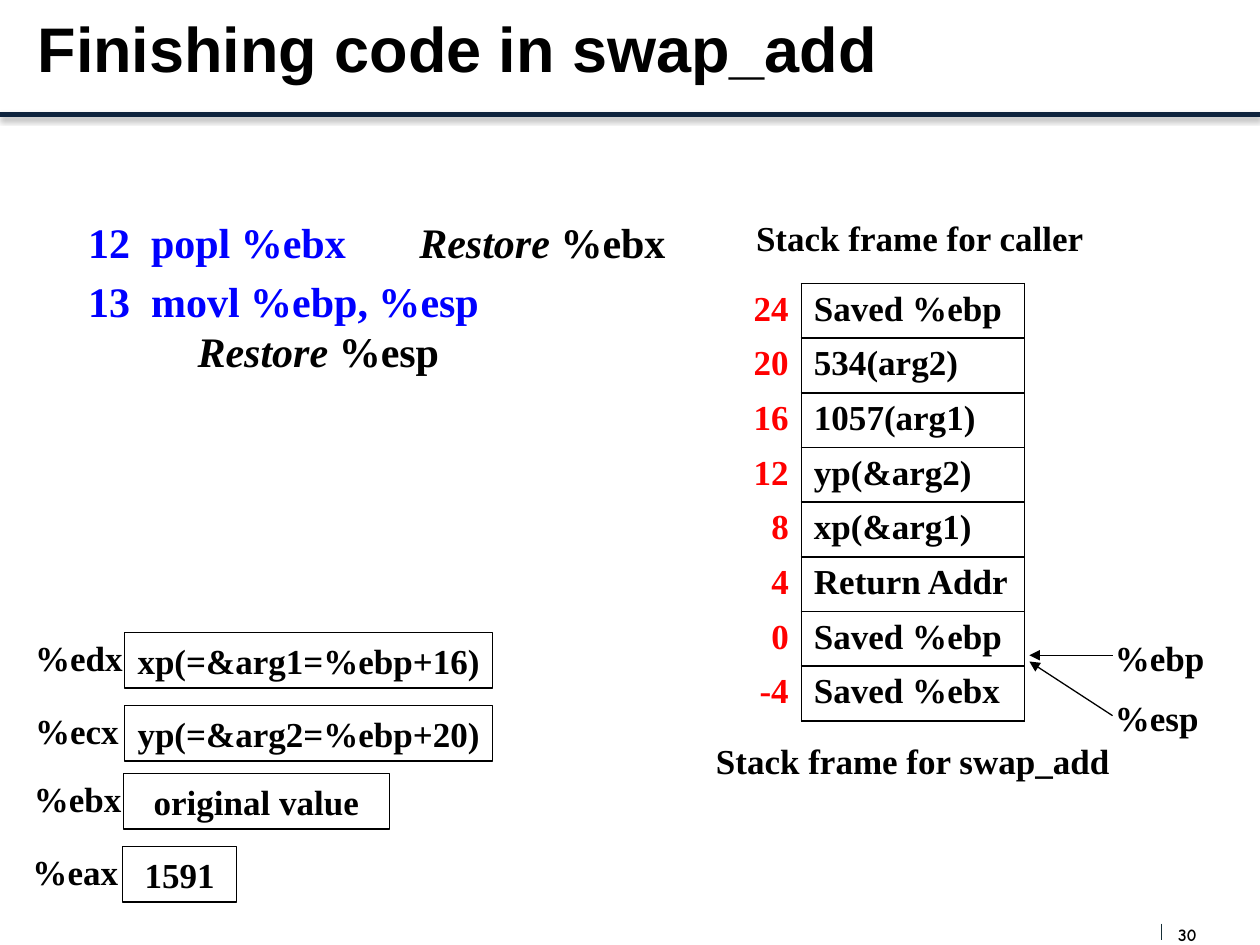
from dataclasses import dataclass

import lxml.etree
import pptx
import pptx.dml.color
import pptx.enum.shapes
import pptx.enum.text
import pptx.oxml
import pptx.oxml.ns
import pptx.util
from pptx.util import Inches, Pt

ALIGN = pptx.enum.text.PP_ALIGN
ANCHOR = pptx.enum.text.MSO_ANCHOR
qn = pptx.oxml.ns.qn


@dataclass(frozen=True)
class Theme:
    black: str = "000000"
    code: str = "0000FF"
    offset: str = "FF0000"
    rule: str = "0F243E"
    footer_rule: str = "172F37"
    title_font: str = "Arial"
    body_font: str = "Times New Roman"
    footer_font: str = "Comic Neue"
    title_size: int = 36
    code_size: int = 24
    body_size: int = 20
    footer_size: int = 10
    thin: float = 0.75
    cell_line: float = 1
    thick: float = 3


THEME = Theme()


def rgb(color):
    return pptx.dml.color.RGBColor.from_string(color)


def set_font(font, size=THEME.body_size, name=THEME.body_font, color=THEME.black):
    font.size, font.name, font.bold = Pt(size), name, True
    font.color.rgb = rgb(color)


def add_label(slide, left, top, width, height, text, align=ALIGN.LEFT, wrap=True, **font):
    label = slide.shapes.add_textbox(Inches(left), Inches(top), Inches(width), Inches(height))
    frame = label.text_frame
    frame.word_wrap = wrap
    paragraph = frame.paragraphs[0]
    paragraph.text, paragraph.alignment = text, align
    set_font(paragraph.font, **font)
    return frame


def add_register_name(slide, left, top, name):
    add_label(slide, left, top, 0.96, 0.43, name, wrap=False)


def add_line(slide, start, end, color=THEME.black, width=THEME.thin, arrow=False):
    """Draw a straight line and return its empty effect list."""
    line = slide.shapes.add_connector(
        pptx.enum.shapes.MSO_CONNECTOR.STRAIGHT, *(Inches(value) for value in (*start, *end)))
    line.line.color.rgb = rgb(color)
    line.line.width = Pt(width)
    if arrow:
        lxml.etree.SubElement(line.line._get_or_add_ln(), qn("a:tailEnd"), type="triangle")
    return lxml.etree.SubElement(line._element.spPr, qn("a:effectLst"))


def add_header(slide, left, top, width, height):
    effects = add_line(slide, (0, top + 0.91), (10, top + 0.91), THEME.rule, THEME.thick)
    shadow = lxml.etree.SubElement(
        effects, qn("a:outerShdw"), blurRad=str(Pt(3.1)), dist=str(Pt(1.8)),
        dir="5400000", rotWithShape="0")
    shade = lxml.etree.SubElement(shadow, qn("a:srgbClr"), val=THEME.black)
    lxml.etree.SubElement(shade, qn("a:alpha"), val="35000")
    title = add_label(slide, left, top, width, height, "Finishing code in swap_add",
                      size=THEME.title_size, name=THEME.title_font)
    title.vertical_anchor = ANCHOR.MIDDLE


def add_footer(slide, left, top):
    add_line(slide, (left, top), (left, top + 0.13), THEME.footer_rule)
    number = add_label(slide, left + 0.13, top, 0.34, 0.17, "30",
                       size=THEME.footer_size, name=THEME.footer_font)
    number.margin_left = number.margin_right = number.margin_top = number.margin_bottom = 0


def add_code(slide, left, top, width, height):
    """Instructions in blue, each followed by its comment."""
    frame = add_label(slide, left, top, width, height, "", size=THEME.code_size)
    # instruction, register restored, left margin, space before
    lines = [
        ("12  popl %ebx\t", "%ebx", 0, 0),
        ("13  movl %ebp, %esp", "", 0, 4.8),
        ("", "%esp", 0.87, 0),
    ]
    for index, (instruction, register, margin, space) in enumerate(lines):
        paragraph = frame.paragraphs[0] if index == 0 else frame.add_paragraph()
        paragraph.space_before = Pt(space)
        set_font(paragraph.font, THEME.code_size)
        properties = paragraph._p.get_or_add_pPr()
        properties.set("marL", str(Inches(margin)))
        if "\t" in instruction:
            stops = pptx.oxml.parse_xml(
                f'<a:tabLst {pptx.oxml.ns.nsdecls("a")}>'
                f'<a:tab pos="{Inches(2.63)}" algn="l"/></a:tabLst>')
            properties.find(qn("a:defRPr")).addprevious(stops)
        if instruction:
            run = paragraph.add_run()
            run.text = instruction
            run.font.color.rgb = rgb(THEME.code)
        if register:
            verb = paragraph.add_run()
            verb.text, verb.font.italic = "Restore ", True
            paragraph.add_run().text = register


def set_borders(cell, sides):
    properties = cell._tc.get_or_add_tcPr()
    for position, side in enumerate(sides):
        border = pptx.oxml.parse_xml(
            f'<a:ln{side} {pptx.oxml.ns.nsdecls("a")} w="{Pt(THEME.cell_line)}">'
            f'<a:solidFill><a:srgbClr val="{THEME.black}"/></a:solidFill></a:ln{side}>')
        properties.insert(position, border)


def add_stack(slide, left, top):
    """Stack table with its offsets, captions and register pointers."""
    contents = ["Saved %ebp", "534(arg2)", "1057(arg1)", "yp(&arg2)",
                "xp(&arg1)", "Return Addr", "Saved %ebp", "Saved %ebx"]
    add_label(slide, left + 0.08, top - 0.58, 2.94, 0.43, "Stack frame for caller", ALIGN.CENTER)
    table = slide.shapes.add_table(
        len(contents), 2, Inches(left), Inches(top), Inches(2.38), Inches(3.47)).table
    table.first_row = table.horz_banding = False
    table.columns[0].width, table.columns[1].width = Inches(0.61), Inches(1.77)
    for row, content in enumerate(contents):
        offset = str(24 - 4 * row)
        columns = [(offset, THEME.offset, ALIGN.RIGHT, "R"),
                   (content, THEME.black, ALIGN.LEFT, "LRTB")]
        for column, (text, color, align, sides) in enumerate(columns):
            cell = table.cell(row, column)
            cell.fill.background()
            set_borders(cell, sides)
            paragraph = cell.text_frame.paragraphs[0]
            paragraph.text, paragraph.alignment = text, align
            set_font(paragraph.font, color=color)
    add_label(slide, left - 0.17, top + 3.57, 3.33, 0.43, "Stack frame for swap_add", ALIGN.CENTER)

    for register, name_top, tip in (("%ebp", 2.75, 2.95), ("%esp", 3.23, 3)):
        add_register_name(slide, left + 3, top + name_top, register)
        add_line(slide, (left + 3.08, top + name_top + 0.2), (left + 2.42, top + tip), arrow=True)


def add_register(slide, left, top, width, name, value):
    """Register name with its value in a box beside it."""
    box = slide.shapes.add_shape(
        pptx.enum.shapes.MSO_SHAPE.RECTANGLE,
        Inches(left), Inches(top), Inches(width), Inches(0.44))
    box.shadow.inherit = False
    box.fill.background()
    box.line.color.rgb = rgb(THEME.black)
    box.line.width = Pt(THEME.thin)
    box.text_frame.word_wrap = False
    paragraph = box.text_frame.paragraphs[0]
    paragraph.text, paragraph.alignment = value, ALIGN.CENTER
    set_font(paragraph.font)
    add_register_name(slide, left - 0.81, top - 0.02, name)


def main():
    deck = pptx.Presentation()
    deck.slide_width, deck.slide_height = Inches(10), Inches(7.5)
    slide = deck.slides.add_slide(deck.slide_layouts[6])
    add_header(slide, 0.2, 0, 9.25, 0.75)
    add_footer(slide, 9.22, 7.33)
    add_stack(slide, 5.75, 2.25)
    add_code(slide, 0.6, 1.67, 4.82, 1.39)
    registers = [
        (0.99, 5.02, 2.92, "%edx", "xp(=&arg1=%ebp+16)"),
        (0.99, 5.6, 2.92, "%ecx", "yp(=&arg2=%ebp+20)"),
        (0.98, 6.14, 2.11, "%ebx", "original value"),
        (0.97, 6.72, 0.91, "%eax", "1591"),
    ]
    for register in registers:
        add_register(slide, *register)
    deck.save("out.pptx")


if __name__ == "__main__":
    main()
